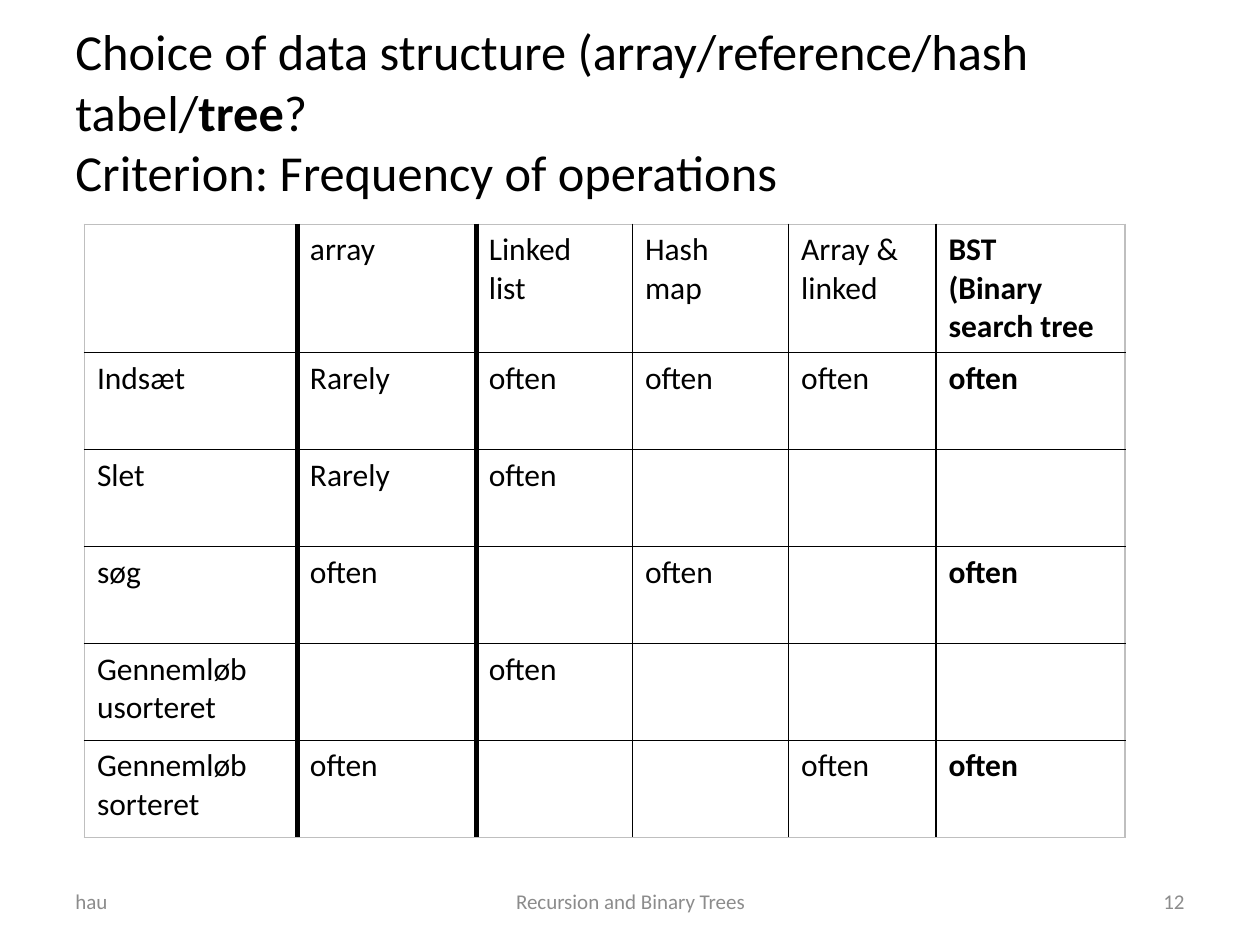
import dataclasses

import lxml.etree
import pptx
import pptx.dml.color
import pptx.enum.text
import pptx.oxml.ns
import pptx.util

Inches = pptx.util.Inches
ALIGN = pptx.enum.text.PP_ALIGN
ANCHOR = pptx.enum.text.MSO_ANCHOR


@dataclasses.dataclass(frozen=True)
class Theme:
    """Colours, font and type sizes of the slide."""
    font: str = "Calibri"
    text: str = "000000"
    muted: str = "8C8C8C"
    frame: str = "BFBFBF"
    title_size: float = 28.8
    table_size: float = 18
    footer_size: float = 12
    thin: float = 1
    thick: float = 3


THEME = Theme()
COLUMN_WIDTHS = [1.69, 1.42, 1.24, 1.24, 1.17, 1.5]
ROW_HEIGHTS = [1.02] + [0.77] * 5
THICK_EDGES = (1, 2)
ROWS = [
    ["", "array", "Linked\nlist", "Hash\nmap", "Array & linked",
     "BST\n(Binary search tree"],
    ["Indsæt", "Rarely", "often", "often", "often", "often"],
    ["Slet", "Rarely", "often", "", "", ""],
    ["søg", "often", "", "often", "", "often"],
    ["Gennemløb\nusorteret", "", "often", "", "", ""],
    ["Gennemløb\nsorteret", "often", "", "", "often", "often"],
]


def add_span(para, text, size, color=THEME.text, bold=False):
    """Append one formatted run to a paragraph."""
    span = para.add_run()
    span.text = text
    span.font.name = THEME.font
    span.font.size = pptx.util.Pt(size)
    span.font.bold = bold
    span.font.color.rgb = pptx.dml.color.RGBColor.from_string(color)


def add_box(page, left, top, width, height, align=ALIGN.LEFT):
    """Add a wrapping, middle-anchored text box and return its paragraph."""
    box = page.shapes.add_textbox(
        Inches(left), Inches(top), Inches(width), Inches(height))
    box.text_frame.word_wrap = True
    box.text_frame.vertical_anchor = ANCHOR.MIDDLE
    para = box.text_frame.paragraphs[0]
    para.alignment = align
    return para


def add_title(page):
    """Add the heading with its bold word."""
    para = add_box(page, 0.5, 0.21, 9.22, 1.34)
    size = THEME.title_size
    add_span(para, "Choice of data structure (array/reference/hash tabel/", size)
    add_span(para, "tree", size, bold=True)
    add_span(para, "?", size)
    para.add_line_break()
    add_span(para, "Criterion: Frequency of operations", size)


def set_border(cell, side, color, width):
    """Draw one side (L, R, T or B) of a cell."""
    name = pptx.oxml.ns.qn
    line = lxml.etree.SubElement(
        cell._tc.get_or_add_tcPr(), name(f"a:ln{side}"),
        w=str(int(pptx.util.Pt(width))))
    fill = lxml.etree.SubElement(line, name("a:solidFill"))
    lxml.etree.SubElement(fill, name("a:srgbClr"), val=color)


def style_cell(cell, row, column):
    """Set borders by grid edge, then clear the fill."""
    edges = [("L", column, len(COLUMN_WIDTHS)),
             ("R", column + 1, len(COLUMN_WIDTHS)),
             ("T", row, len(ROW_HEIGHTS)),
             ("B", row + 1, len(ROW_HEIGHTS))]
    for side, edge, last in edges:
        color = THEME.frame if edge in (0, last) else THEME.text
        heavy = side in "LR" and edge in THICK_EDGES
        set_border(cell, side, color, THEME.thick if heavy else THEME.thin)
    cell.fill.background()


def fill_cell(cell, text, bold=False):
    """Write one paragraph for each line of text."""
    frame = cell.text_frame
    for index, line in enumerate(text.split("\n")):
        para = frame.add_paragraph() if index else frame.paragraphs[0]
        if line:
            add_span(para, line, THEME.table_size, bold=bold)
        else:
            para.font.size = pptx.util.Pt(THEME.table_size)


def add_operations_table(page):
    """Add the table of operation frequencies."""
    table = page.shapes.add_table(
        len(ROWS), len(COLUMN_WIDTHS), Inches(0.67), Inches(1.78),
        Inches(sum(COLUMN_WIDTHS)), Inches(sum(ROW_HEIGHTS))).table
    table.first_row = False
    table.horz_banding = False
    for column, width in zip(table.columns, COLUMN_WIDTHS):
        column.width = Inches(width)
    for row, height in zip(table.rows, ROW_HEIGHTS):
        row.height = Inches(height)
    for row, texts in enumerate(ROWS):
        for column, text in enumerate(texts):
            cell = table.cell(row, column)
            fill_cell(cell, text, bold=column == len(texts) - 1)
            style_cell(cell, row, column)


def add_footer(page):
    """Add the author, the subject and the page number."""
    for text, left, width, align in [
            ("Recursion and Binary Trees", 3.42, 3.17, ALIGN.CENTER),
            ("hau", 0.5, 2.33, ALIGN.LEFT),
            ("12", 7.17, 2.33, ALIGN.RIGHT)]:
        para = add_box(page, left, 6.95, width, 0.4, align)
        add_span(para, text, THEME.footer_size, THEME.muted)


def main():
    """Build and save the slide."""
    deck = pptx.Presentation()
    deck.slide_width, deck.slide_height = Inches(10), Inches(7.5)
    page = deck.slides.add_slide(deck.slide_layouts[6])
    add_title(page)
    add_operations_table(page)
    add_footer(page)
    deck.save("out.pptx")


main()
